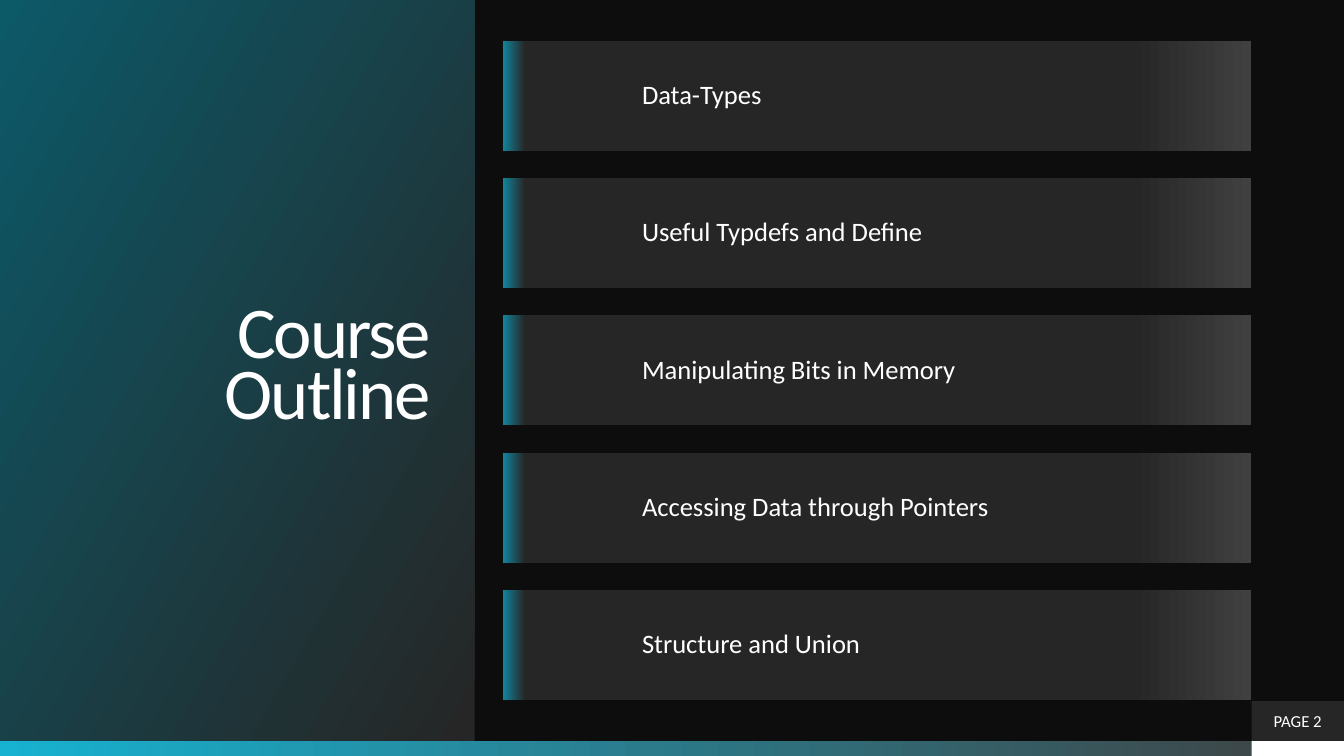
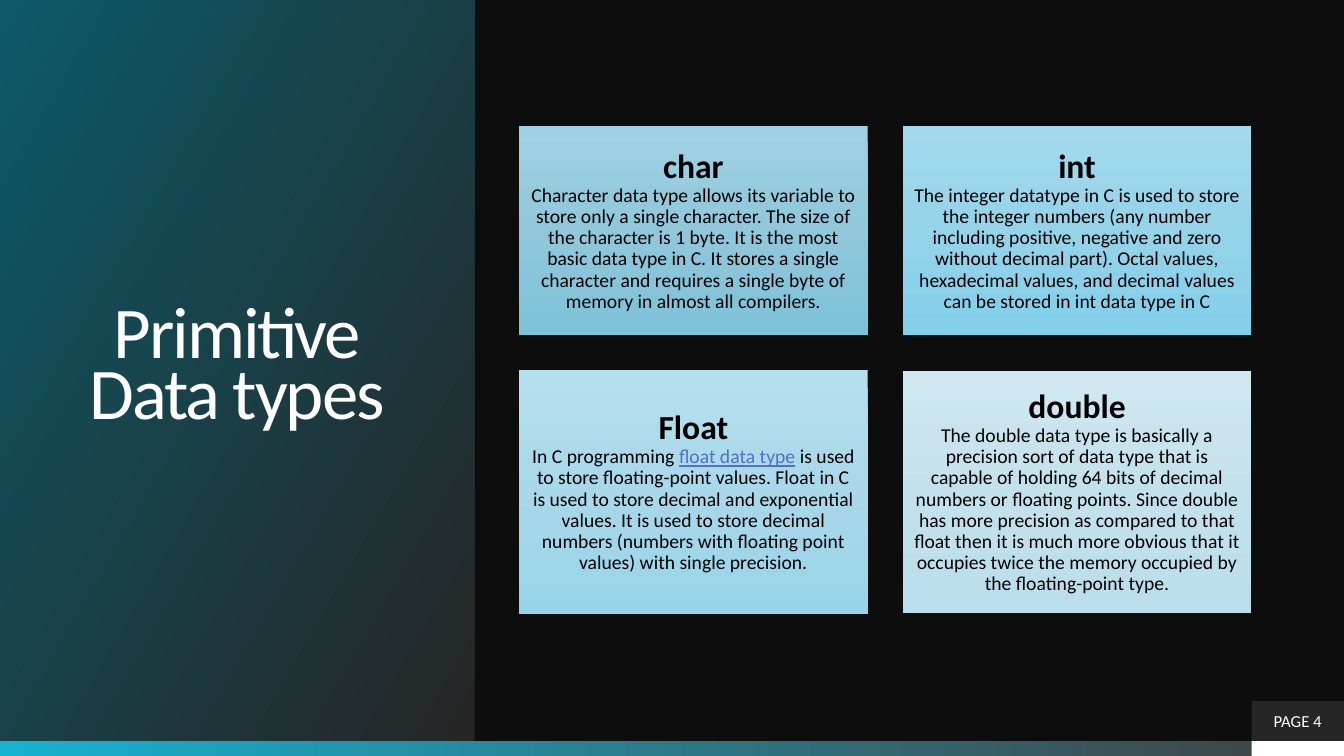
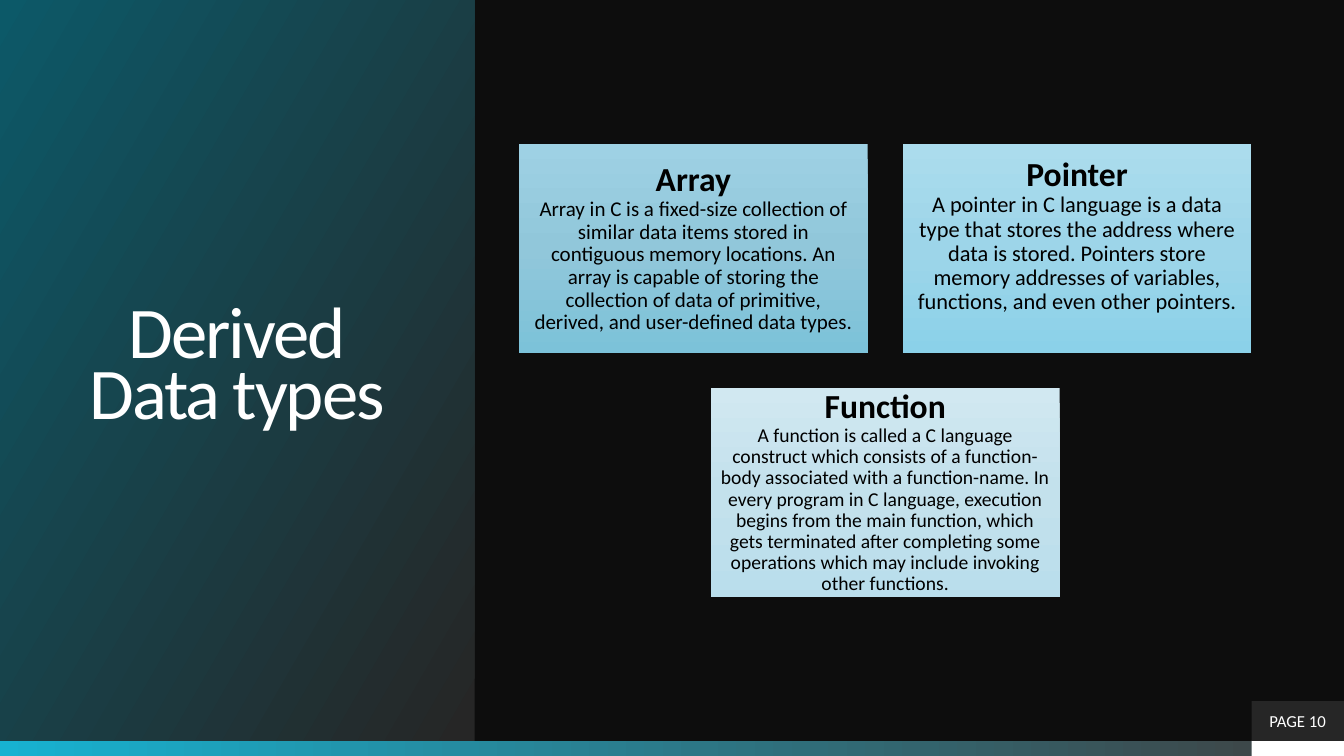
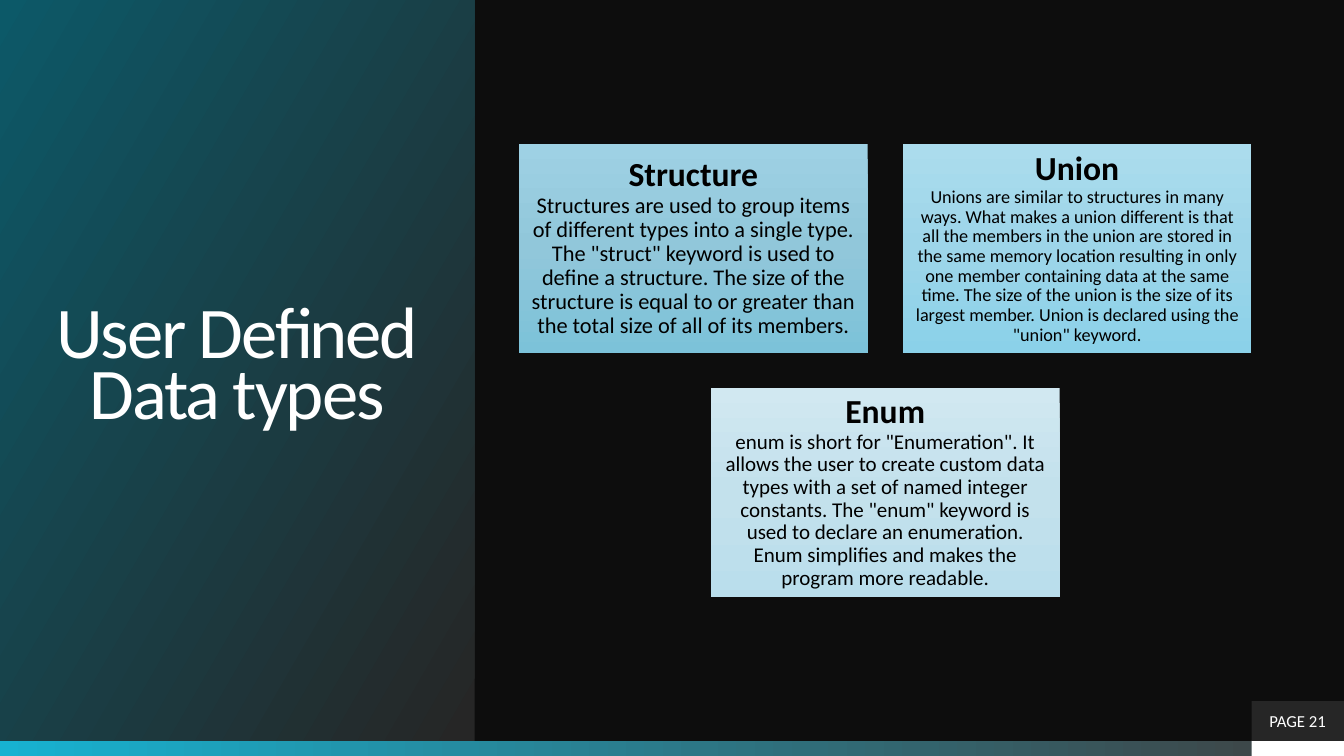
from dataclasses import dataclass

from pptx import Presentation
from pptx.dml.color import RGBColor
from pptx.enum.shapes import MSO_SHAPE as Preset
from pptx.enum.text import MSO_ANCHOR as Anchor, PP_ALIGN as Align
from pptx.oxml import parse_xml
from pptx.oxml.ns import nsdecls
from pptx.util import Cm, Pt


@dataclass(frozen=True)
class Theme:
    font: str = "Calibri"
    background: str = "0D0D0D"
    panel: str = "262626"
    light: str = "FFFFFF"
    ink: str = "000000"
    link: str = "5370C5"
    # Gradients: (position in percent, colour) pairs
    band: tuple = ((0, "17B2D1"), (100, "404040"))
    title_panel: tuple = ((1, "262626"), (100, "0C5968"))
    topic: tuple = ((0, "404040"), (16, "262626"), (97, "262626"), (100, "11859D"))
    steel: tuple = ((0, "9ED1E4"), (50, "91C7DA"), (100, "7CC2D9"))
    sky: tuple = ((0, "A3DAED"), (50, "95D3E9"), (100, "81CFEA"))
    soft_sky: tuple = ((0, "ABDCED"), (50, "9DD5E9"), (100, "8BD1E9"))
    ice: tuple = ((0, "B6DFED"), (50, "A8D8E9"), (100, "98D4E9"))
    frost: tuple = ((0, "D1E8F1"), (50, "C3E1EC"), (100, "BADEEC"))
    title_size: int = 52
    heading_size: int = 24
    topic_size: int = 19
    page_size: int = 12


theme = Theme()

# Shared layout, in centimetres
SLIDE_W, SLIDE_H = 33.87, 19.05
BAND_TOP = 18.67
PAGE_LEFT, PAGE_TOP = 31.54, 17.67
TITLE_W = 11.96
TOPIC_LEFT, TOPIC_TOP, TOPIC_H, TOPIC_GAP = 12.67, 1.03, 2.77, 0.69
CARD_W, CARD_GAP = 8.79, 0.88
CARDS_CENTER_X, CARDS_CENTER_Y = 22.31, 9.33
LINKED_PHRASE = "float data type"

topics = [
    "Data-Types",
    "Useful Typdefs and Define",
    "Manipulating Bits in Memory",
    "Accessing Data through Pointers",
    "Structure and Union",
]

# Page, title, rows of cards: heading, body, body size, gradient, height, bottom inset
card_slides = [
    (4, "Primitive\vData types", [
        [
            ("char",
             "Character data type allows its variable to store only a single character. "
             "The size of the character is 1 byte. It is the most basic data type in C. "
             "It stores a single character and requires a single byte of memory in "
             "almost all compilers.",
             14, theme.steel, 5.27, 0.25),
            ("int",
             "The integer datatype in C is used to store the integer numbers (any number "
             "including positive, negative and zero without decimal part). Octal values, "
             "hexadecimal values, and decimal values can be stored in int data type in C",
             14, theme.sky, 5.27, 0.25),
        ],
        [
            ("Float",
             "In C programming float data type is used to store floating-point values. "
             "Float in C is used to store decimal and exponential values. It is used to "
             "store decimal numbers (numbers with floating point values) with single "
             "precision.",
             14, theme.ice, 6.15, 0.25),
            ("double",
             "The double data type is basically a precision sort of data type that is "
             "capable of holding 64 bits of decimal numbers or floating points. Since "
             "double has more precision as compared to that float then it is much more "
             "obvious that it occupies twice the memory occupied by the floating-point "
             "type.",
             14, theme.frost, 6.1, 0.25),
        ],
    ]),
    (10, "Derived\vData types", [
        [
            ("Array",
             "Array in C is a fixed-size collection of similar data items stored in "
             "contiguous memory locations. An array is capable of storing the collection "
             "of data of primitive, derived, and user-defined data types.",
             15, theme.steel, 5.27, 0.25),
            ("Pointer",
             "A pointer in C language is a data type that stores the address where data "
             "is stored. Pointers store memory addresses of variables, functions, and "
             "even other pointers.",
             16, theme.soft_sky, 5.27, 0.87),
        ],
        [
            ("Function",
             "A function is called a C language construct which consists of a "
             "function-body associated with a function-name. In every program in C "
             "language, execution begins from the main function, which gets terminated "
             "after completing some operations which may include invoking other "
             "functions.",
             14, theme.frost, 5.27, 0.25),
        ],
    ]),
    (21, "User Defined\vData types", [
        [
            ("Structure",
             "Structures are used to group items of different types into a single type. "
             'The "struct" keyword is used to define a structure. The size of the '
             "structure is equal to or greater than the total size of all of its members.",
             16, theme.steel, 5.27, 0.25),
            ("Union",
             "Unions are similar to structures in many ways. What makes a union different "
             "is that all the members in the union are stored in the same memory location "
             "resulting in only one member containing data at the same time. The size of "
             "the union is the size of its largest member. Union is declared using the "
             '"union" keyword.',
             13, theme.soft_sky, 5.27, 0.25),
        ],
        [
            ("Enum",
             'enum is short for "Enumeration". It allows the user to create custom data '
             'types with a set of named integer constants. The "enum" keyword is used to '
             "declare an enumeration. Enum simplifies and makes the program more readable.",
             15, theme.frost, 5.27, 0.25),
        ],
    ]),
]


def add_panel(slide, left, top, width, height, paint, angle=0):
    """Add a borderless rectangle; paint is a colour or gradient stops, angle clockwise."""
    panel = slide.shapes.add_shape(
        Preset.RECTANGLE, Cm(left), Cm(top), Cm(width), Cm(height))
    panel.shadow.inherit = False
    panel.line.fill.background()
    if isinstance(paint, str):
        panel.fill.solid()
        panel.fill.fore_color.rgb = RGBColor.from_string(paint)
        return panel
    stops = "".join(
        f'<a:gs pos="{position * 1000}"><a:srgbClr val="{colour}"/></a:gs>'
        for position, colour in paint)
    gradient = parse_xml(
        f'<a:gradFill {nsdecls("a")} rotWithShape="1"><a:gsLst>{stops}</a:gsLst>'
        f'<a:lin ang="{angle * 60000}" scaled="0"/></a:gradFill>')
    panel.fill.background()
    properties = panel.element.spPr
    properties.replace(properties.find("{*}noFill"), gradient)
    return panel


def write(panel, pieces, size, colour, align, spacing, insets):
    """Put the pieces in one paragraph and return its runs; insets run left to bottom."""
    frame = panel.text_frame
    frame.word_wrap = True
    frame.vertical_anchor = Anchor.MIDDLE
    frame.margin_left, frame.margin_top, frame.margin_right, frame.margin_bottom = map(
        Cm, insets)
    paragraph = frame.paragraphs[0]
    paragraph.text = pieces[0]
    for piece in pieces[1:]:
        paragraph.add_run().text = piece
    paragraph.alignment = align
    paragraph.line_spacing = spacing
    for run in paragraph.runs:
        run.font.name = theme.font
        run.font.size = Pt(size)
        run.font.bold = False
        run.font.color.rgb = RGBColor.from_string(colour)
    return paragraph.runs


prs = Presentation()
prs.slide_width, prs.slide_height = Cm(SLIDE_W), Cm(SLIDE_H)
backdrop = prs.slide_master.background.fill
backdrop.solid()
backdrop.fore_color.rgb = RGBColor.from_string(theme.background)
blank = prs.slide_layouts[6]

# Frame of every slide: band, title panel and page number
outline = (2, "Course\vOutline", [])
for page, title, rows in [outline, *card_slides]:
    slide = prs.slides.add_slide(blank)
    add_panel(slide, 0, BAND_TOP, SLIDE_W, SLIDE_H - BAND_TOP, theme.band)
    add_panel(slide, PAGE_LEFT, BAND_TOP, SLIDE_W - PAGE_LEFT, SLIDE_H - BAND_TOP,
              theme.light)
    title_panel = add_panel(slide, 0, 0, TITLE_W, BAND_TOP, theme.title_panel, 210)
    title_runs = write(title_panel, [title], theme.title_size, theme.light,
                       Align.CENTER if rows else Align.RIGHT, 0.7, (1.1, 0, 1.1, 0))
    for run in title_runs:
        run.font._element.set("spc", "-150")
    page_panel = add_panel(slide, PAGE_LEFT, PAGE_TOP, SLIDE_W - PAGE_LEFT,
                           BAND_TOP - PAGE_TOP, theme.panel)
    write(page_panel, [f"PAGE {page}"], theme.page_size, theme.light,
          Align.CENTER, 1.0, (0.25, 0.13, 0.25, 0.13))

    # Cards: each row is centred, and the rows together are centred vertically
    row_heights = [max(card[4] for card in row) for row in rows]
    row_top = CARDS_CENTER_Y - (sum(row_heights) + CARD_GAP * (len(rows) - 1)) / 2
    for row, row_height in zip(rows, row_heights):
        row_width = len(row) * (CARD_W + CARD_GAP) - CARD_GAP
        for column, (heading, body, size, gradient, height, bottom) in enumerate(row):
            left = CARDS_CENTER_X - row_width / 2 + column * (CARD_W + CARD_GAP)
            card = add_panel(slide, left, row_top + (row_height - height) / 2,
                             CARD_W, height, gradient, 90)
            before, linked, after = body.partition(LINKED_PHRASE)
            pieces = [f"{heading}\v{before}"] + ([linked, after] if linked else [])
            runs = write(card, pieces, size, theme.ink, Align.CENTER, 0.9,
                         (0.25, 0.25, 0.25, bottom))
            runs[0].font.size = Pt(theme.heading_size)
            runs[0].font.bold = True
            if linked:
                runs[2].font.underline = True
                runs[2].font.color.rgb = RGBColor.from_string(theme.link)
        row_top += row_height + CARD_GAP

# Topics of the course outline
for index, topic in enumerate(topics):
    bar = add_panel(prs.slides[0], TOPIC_LEFT, TOPIC_TOP + index * (TOPIC_H + TOPIC_GAP),
                    PAGE_LEFT - TOPIC_LEFT, TOPIC_H, theme.topic, 180)
    write(bar, [topic], theme.topic_size, theme.light, Align.LEFT, 0.9,
          (3.51, 0.3, 0.3, 0.3))

prs.save("out.pptx")
